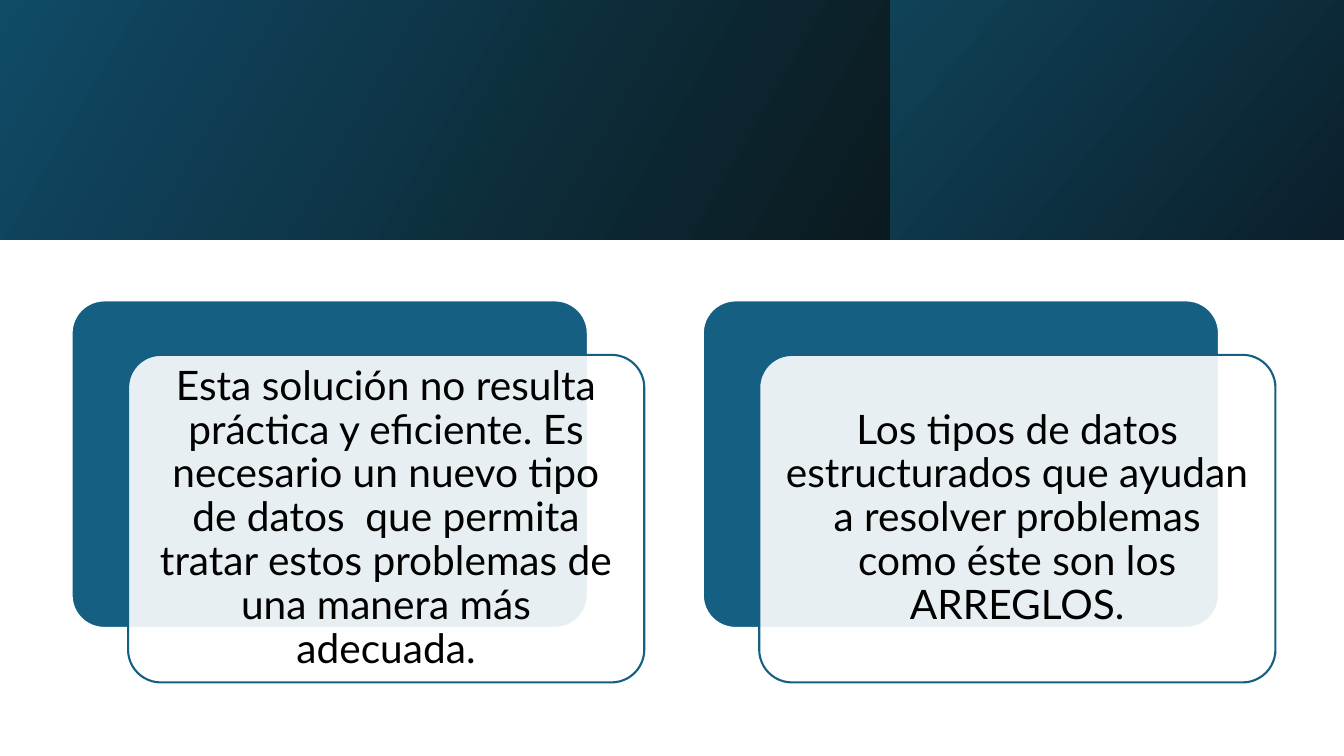
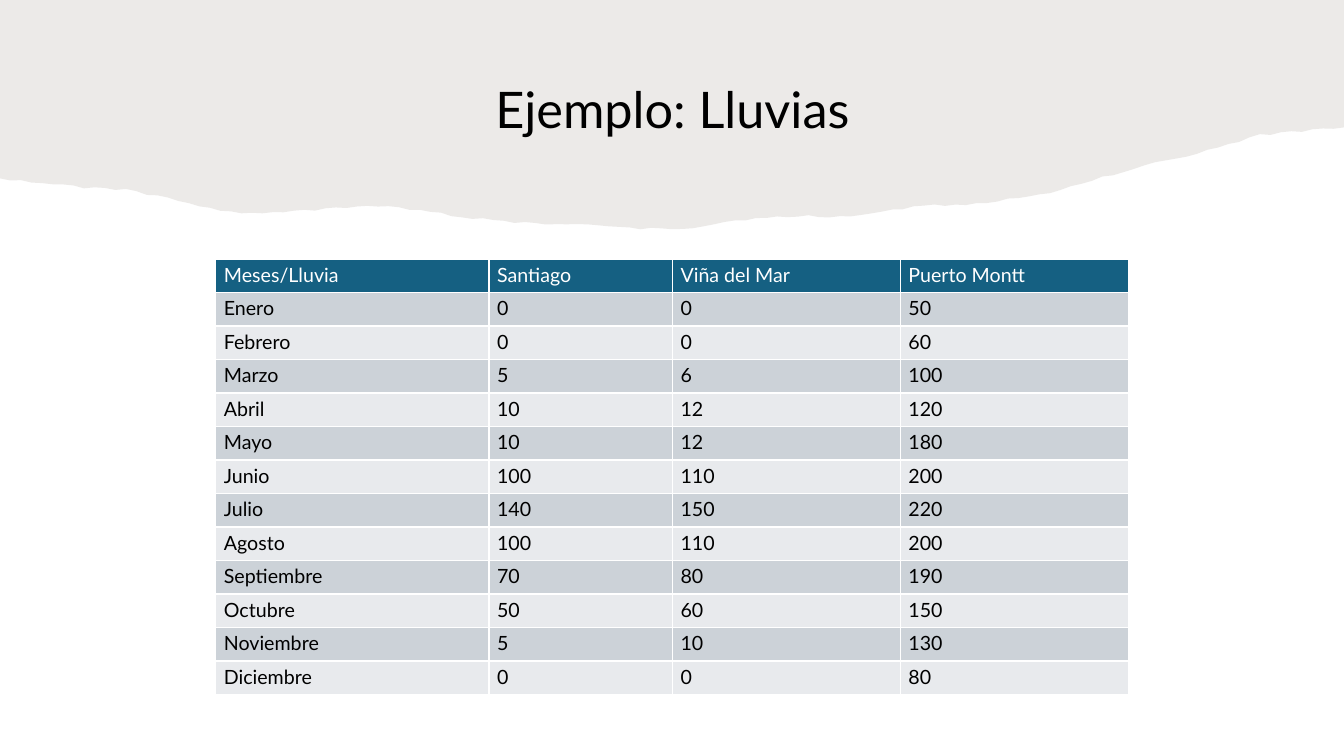
from itertools import cycle
from math import sin

from lxml.etree import SubElement
from pptx import Presentation
from pptx.dml.color import RGBColor
from pptx.enum.shapes import MSO_SHAPE
from pptx.enum.text import MSO_ANCHOR, PP_ALIGN
from pptx.oxml import parse_xml
from pptx.oxml.ns import nsdecls, qn
from pptx.util import Inches, Pt

# Shared style
FONT = "Lato"
BLUE, WHITE, BLACK, TAUPE = "156082", "FFFFFF", "000000", "82766A"
ROW_FILLS = ("CCD2D8", "E8EAED")
TITLE_SIZE, CARD_SIZE, TABLE_SIZE = 36, 29, 14
SLIDE_W, SLIDE_H = 13.33, 7.5

# Slide 1: header panels (width, start colour, end colour, angle), left to right
BAND_H = 2.38
PANELS = [
    (8.83, "104A66", "0B1A1F", 330),
    (4.5, "104257", "0B1F2C", 320),
]
CARDS = [
    "Esta solución no resulta práctica y eficiente. Es necesario un nuevo tipo "
    "de datos  que permita tratar estos problemas de una manera más adecuada.",
    "Los tipos de datos estructurados que ayudan a resolver problemas como éste "
    "son los ARREGLOS.",
]
CARD_LEFT, CARD_TOP, CARD_W, CARD_H = 0.71, 2.98, 5.12, 3.25
CARD_STEP, FRONT_DX, FRONT_DY = 6.26, 0.56, 0.54

# Slide 2: rainfall by month and city
TITLE = "Ejemplo: Lluvias"
COLUMNS = [("Meses/Lluvia", 2.71), ("Santiago", 1.82),
           ("Viña del Mar", 2.26), ("Puerto Montt", 2.26)]
RAINFALL = [
    ("Enero", 0, 0, 50),
    ("Febrero", 0, 0, 60),
    ("Marzo", 5, 6, 100),
    ("Abril", 10, 12, 120),
    ("Mayo", 10, 12, 180),
    ("Junio", 100, 110, 200),
    ("Julio", 140, 150, 220),
    ("Agosto", 100, 110, 200),
    ("Septiembre", 70, 80, 190),
    ("Octubre", 50, 60, 150),
    ("Noviembre", 5, 10, 130),
    ("Diciembre", 0, 0, 80),
]
TABLE_LEFT, TABLE_TOP, TABLE_H = 2.14, 2.57, 4.32

# Depth of the torn paper at equal gaps, left to right
PAPER_DEPTHS = [
    1.77, 1.82, 1.86, 1.88, 1.97, 2.07, 2.12, 2.1, 2.06, 2.04, 2.09,
    2.15, 2.2, 2.22, 2.22, 2.26, 2.28, 2.23, 2.16, 2.14, 2.15, 2.1,
    2.04, 2.03, 1.98, 1.92, 1.79, 1.67, 1.57, 1.47, 1.34, 1.3, 1.27,
]
TEARS_PER_GAP, TEAR_DEPTH = 4, 0.01


def rgb(hex_colour):
    return RGBColor.from_string(hex_colour)


def box(left, top, width, height):
    return [Inches(value) for value in (left, top, width, height)]


def paint(shape, colour, line=None, opacity=100):
    shape.shadow.inherit = False
    shape.fill.solid()
    shape.fill.fore_color.rgb = rgb(colour)
    if opacity < 100:
        solid = shape.element.spPr.find(qn("a:solidFill"))
        SubElement(solid[0], qn("a:alpha"), val=str(opacity * 1000))
    if line:
        shape.line.color.rgb = rgb(line)
        shape.line.width = Pt(1.5)
    else:
        shape.line.fill.background()


def write(frame, text, size, colour, align=PP_ALIGN.LEFT, spacing=None):
    paragraph = frame.paragraphs[0]
    paragraph.alignment = align
    paragraph.line_spacing = spacing
    run = paragraph.add_run()
    run.text = text
    font = run.font
    font.name, font.size, font.bold = FONT, Pt(size), False
    font.color.rgb = rgb(colour)


def set_margins(target, horizontal, vertical):
    target.margin_left = target.margin_right = Inches(horizontal)
    target.margin_top = target.margin_bottom = Inches(vertical)


# Slide 1 parts
def add_header_band(slide):
    left = 0
    for width, start, end, angle in PANELS:
        panel = slide.shapes.add_shape(
            MSO_SHAPE.RECTANGLE, *box(left, 0, width, BAND_H))
        panel.shadow.inherit = False
        panel.line.fill.background()
        panel.fill.gradient()
        panel.fill.gradient_angle = angle
        for stop, colour in zip(panel.fill.gradient_stops, (start, end)):
            stop.color.rgb = rgb(colour)
        left += width


def add_card_layer(slide, left, top, colour, line, opacity=100):
    layer = slide.shapes.add_shape(
        MSO_SHAPE.ROUNDED_RECTANGLE, *box(left, top, CARD_W, CARD_H))
    layer.adjustments[0] = 0.1
    paint(layer, colour, line, opacity)
    return layer


def add_card(slide, left, text):
    add_card_layer(slide, left, CARD_TOP, BLUE, WHITE)
    front = add_card_layer(
        slide, left + FRONT_DX, CARD_TOP + FRONT_DY, WHITE, BLUE, opacity=90)
    frame = front.text_frame
    frame.word_wrap = True
    frame.vertical_anchor = MSO_ANCHOR.MIDDLE
    set_margins(frame, 0.12, 0.12)
    write(frame, text, CARD_SIZE, BLACK, PP_ALIGN.CENTER, 0.9)


# Slide 2 parts
def torn_edge():
    """Join the paper depths by straight runs, roughened by a small wave."""
    gaps = len(PAPER_DEPTHS) - 1
    tears = gaps * TEARS_PER_GAP
    for tear in range(tears + 1):
        gap = min(tear // TEARS_PER_GAP, gaps - 1)
        share = tear / TEARS_PER_GAP - gap
        start, end = PAPER_DEPTHS[gap:gap + 2]
        depth = start + (end - start) * share + TEAR_DEPTH * sin(tear * tear)
        yield Inches(SLIDE_W * tear / tears), Inches(depth)


def add_torn_paper(slide):
    outline = slide.shapes.build_freeform(0, 0)
    outline.add_line_segments([*torn_edge(), (Inches(SLIDE_W), 0)], close=True)
    paper = outline.convert_to_shape()
    paint(paper, TAUPE, opacity=15)
    slide.shapes.title.element.addprevious(paper.element)  # behind the title


def set_title(slide, text):
    title = slide.shapes.title
    title.left, title.top, title.width, title.height = box(0.91, 0.54, 11.52, 0.89)
    title.text_frame.vertical_anchor = MSO_ANCHOR.BOTTOM
    write(title.text_frame, text, TITLE_SIZE, BLACK, PP_ALIGN.CENTER, 0.9)


def add_borders(cell):
    properties = cell._tc.get_or_add_tcPr()
    for index, side in enumerate(("lnL", "lnR", "lnT", "lnB")):
        properties.insert(index, parse_xml(
            f'<a:{side} {nsdecls("a")} w="{Pt(1)}"><a:solidFill>'
            f'<a:srgbClr val="{WHITE}"/></a:solidFill></a:{side}>'))


def fill_row(row, values, fill, text_colour):
    for cell, value in zip(row.cells, values):
        set_margins(cell, 0.08, 0.04)
        cell.fill.solid()
        cell.fill.fore_color.rgb = rgb(fill)
        add_borders(cell)
        write(cell.text_frame, str(value), TABLE_SIZE, text_colour)


def add_rainfall_table(slide):
    headings, widths = zip(*COLUMNS)
    row_count = len(RAINFALL) + 1
    table = slide.shapes.add_table(
        row_count, len(COLUMNS),
        *box(TABLE_LEFT, TABLE_TOP, sum(widths), TABLE_H)).table
    for column, width in zip(table.columns, widths):
        column.width = Inches(width)
    for row in table.rows:
        row.height = Inches(TABLE_H / row_count)

    heading_row, *month_rows = table.rows
    fill_row(heading_row, headings, BLUE, WHITE)
    for row, values, fill in zip(month_rows, RAINFALL, cycle(ROW_FILLS)):
        fill_row(row, values, fill, BLACK)


# Slides
def build_conclusion(deck):
    slide = deck.slides.add_slide(deck.slide_layouts[6])
    add_header_band(slide)
    for index, text in enumerate(CARDS):
        add_card(slide, CARD_LEFT + index * CARD_STEP, text)


def build_rainfall(deck):
    slide = deck.slides.add_slide(deck.slide_layouts[5])
    set_title(slide, TITLE)
    add_torn_paper(slide)
    add_rainfall_table(slide)


def main():
    deck = Presentation()
    deck.slide_width, deck.slide_height = Inches(SLIDE_W), Inches(SLIDE_H)
    build_conclusion(deck)
    build_rainfall(deck)
    deck.save("out.pptx")


if __name__ == "__main__":
    main()
